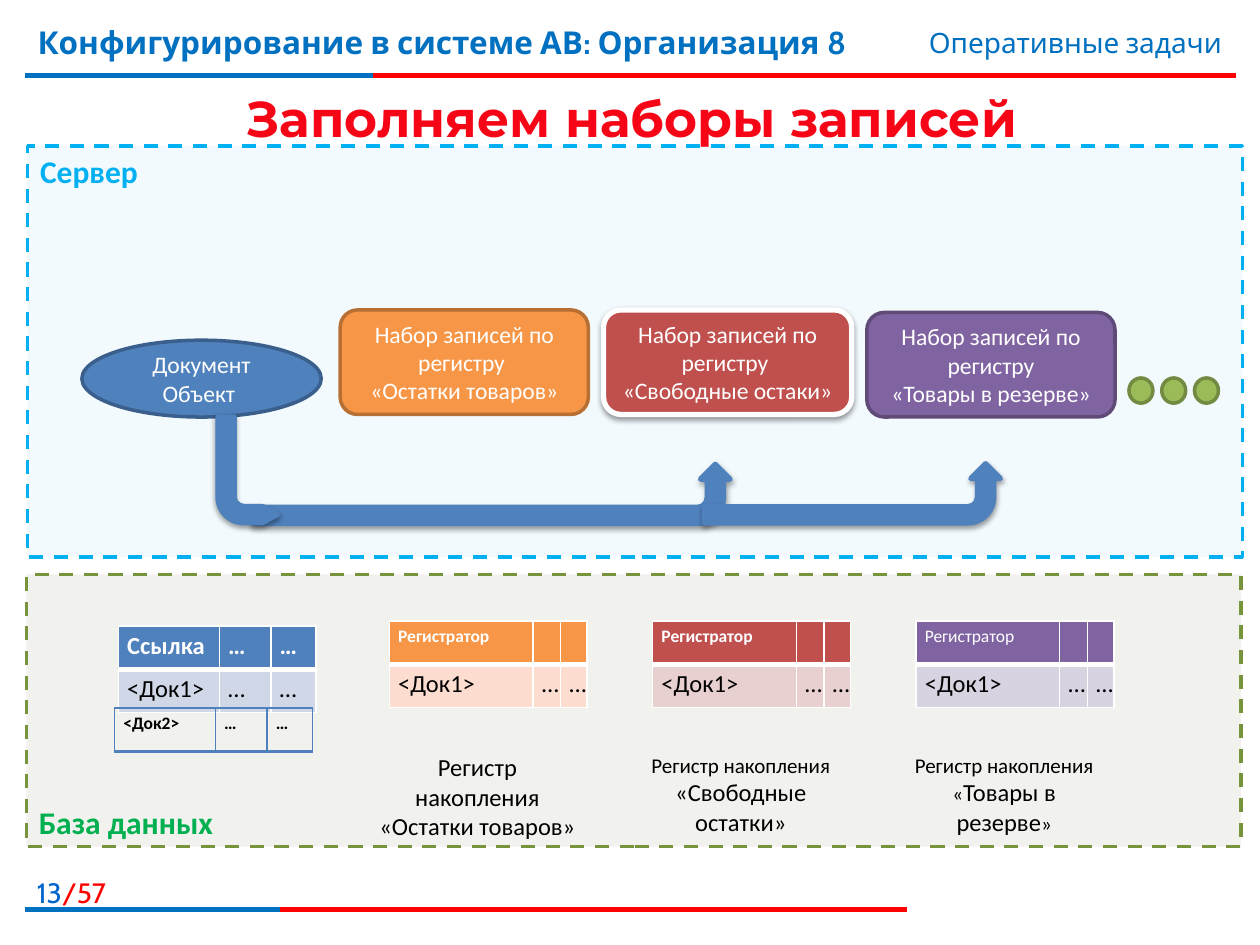
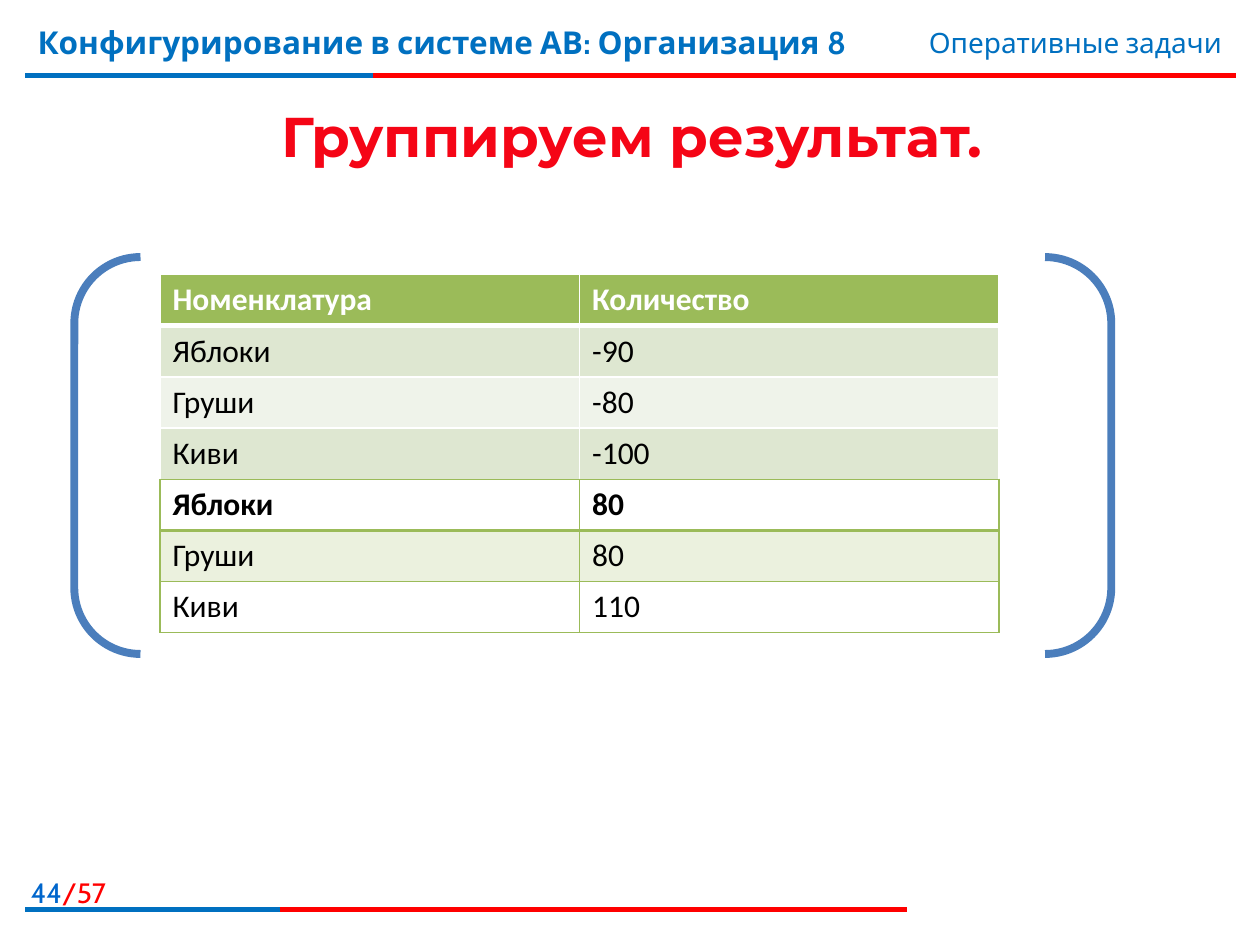
from dataclasses import dataclass

from lxml import etree
from pptx import Presentation
from pptx import util as u
from pptx.dml.color import RGBColor
from pptx.enum import dml, shapes, text
from pptx.oxml.ns import qn

COLUMNS, ROWS = 100, 75
LEFT, CENTER, RIGHT = text.PP_ALIGN.LEFT, text.PP_ALIGN.CENTER, text.PP_ALIGN.RIGHT
TOP, MIDDLE, BOTTOM = (text.MSO_ANCHOR.TOP, text.MSO_ANCHOR.MIDDLE,
                       text.MSO_ANCHOR.BOTTOM)
PRESET = shapes.MSO_SHAPE
PAGE_COUNT = 57


@dataclass(frozen=True)
class Theme:
    body_font: str = "Calibri"
    frame_font: str = "Cabin"
    title_font: str = "Montserrat"
    white: str = "FFFFFF"
    black: str = "000000"
    red: str = "FF0000"
    navy: str = "0070C0"
    page_blue: str = "0066CC"
    title_red: str = "F50516"
    title_dark: str = "C00000"
    server: str = "00B0F0"
    database: str = "00B050"
    database_fill: str = "4F6228"
    database_line: str = "77933C"
    blue: str = "4F81BD"
    blue_line: str = "3A5F8C"
    blue_tint: str = "D0D8E8"
    orange: str = "F79646"
    orange_line: str = "B76F34"
    orange_tint: str = "FCDDCF"
    brick: str = "C0504D"
    brick_tint: str = "E8D0D0"
    purple: str = "8064A2"
    purple_line: str = "5F4A78"
    purple_tint: str = "D8D3E0"
    green: str = "9BBB59"
    green_line: str = "738A42"
    green_tint: str = "DEE7D1"
    green_pale: str = "EFF3EA"
    green_wash: str = "EBF1DE"
    bracket: str = "4B7EBC"
    heading: float = 18
    subheading: float = 16
    label: float = 13.5
    cell: float = 14
    caption: float = 12
    small: float = 10


THEME = Theme()


@dataclass(frozen=True)
class Span:
    text: str
    size: float
    color: str = THEME.black
    bold: bool = False
    font: str = THEME.body_font


@dataclass(frozen=True)
class RowStyle:
    fill: str | None
    size: float
    color: str = THEME.black
    bold: bool = False


@dataclass(frozen=True)
class Register:
    name: str
    top: float
    fill: str
    line: str
    line_width: float
    tint: str
    caption: tuple
    bold: bool = True
    shadow: bool = False


def xml_child(parent, tag, **attributes):
    return etree.SubElement(parent, qn(tag), attributes)


def xml_color(parent, color):
    return xml_child(xml_child(parent, "a:solidFill"), "a:srgbClr", val=color)


class Pages:
    """Draws on the current page; positions are columns and rows of the grid."""

    def __init__(self, theme):
        self.theme = theme
        self.deck = Presentation()
        self.deck.slide_width, self.deck.slide_height = u.Inches(10), u.Inches(7.5)
        self.page = None

    def across(self, columns):
        return round(self.deck.slide_width * columns / COLUMNS)

    def down(self, rows):
        return round(self.deck.slide_height * rows / ROWS)

    def place(self, left, top, width, height):
        return (self.across(left), self.down(top),
                self.across(width), self.down(height))

    def start(self, number):
        theme = self.theme
        self.page = self.deck.slides.add_slide(self.deck.slide_layouts[5])
        for row, end, blue_end in ((6, 98.1, 29.6), (72.2, 72, 22.2)):
            self.rule(2, end, row, theme.red)
            self.rule(2, blue_end, row, theme.navy)
        font = theme.frame_font
        self.text((0, 69, 9.4, 3.2), RIGHT,
                  Span(str(number), theme.subheading, theme.page_blue, font=font),
                  Span(f"/{PAGE_COUNT}", theme.subheading, theme.red, font=font))
        header = self.text((2, 1.3, 74, 6.2), LEFT,
                           Span("Конфигурирование в системе АВ: Организация 8",
                                theme.heading, theme.navy, True, font))
        header.text_frame.paragraphs[0].space_before = u.Pt(3.6)
        self.text((59.4, 1.5, 38.6, 3.7), RIGHT,
                  Span("Оперативные задачи", theme.subheading, theme.navy, font=font))

    def rule(self, start, end, row, color):
        line = self.page.shapes.add_connector(
            shapes.MSO_CONNECTOR.STRAIGHT, self.across(start), self.down(row),
            self.across(end), self.down(row))
        line.line.color.rgb = RGBColor.from_string(color)
        line.line.width = u.Pt(3)
        xml_child(line.element.spPr, "a:effectLst")

    def set_spans(self, frame, align, anchor, spans):
        frame.word_wrap = True
        frame.vertical_anchor = anchor
        paragraph = frame.paragraphs[0]
        paragraph.alignment = align
        for span in spans:
            for index, line in enumerate(span.text.split("\v")):
                if index:
                    paragraph.add_line_break()
                run = paragraph.add_run()
                run.text = line
                run.font.name = span.font
                run.font.size = u.Pt(span.size)
                run.font.bold = span.bold
                run.font.color.rgb = RGBColor.from_string(span.color)

    def text(self, area, align, *spans):
        box = self.page.shapes.add_textbox(*self.place(*area))
        self.set_spans(box.text_frame, align, TOP, spans)
        return box

    def title(self, wording, height, size):
        title = self.page.shapes.title
        title.left, title.top, title.width, title.height = self.place(
            2.1, 6.3, 96.1, height)
        self.set_spans(title.text_frame, CENTER, MIDDLE,
                       [Span(wording, size, bold=True, font=self.theme.title_font)])
        title.text_frame.auto_size = text.MSO_AUTO_SIZE.NONE
        font = title.text_frame.paragraphs[0].runs[0].font
        font.fill.gradient()
        font.fill.gradient_angle = 270
        stops = ((0.55, self.theme.title_red), (0.86, self.theme.title_dark))
        for stop, (position, color) in zip(font.fill.gradient_stops, stops):
            stop.position = position
            stop.color.rgb = RGBColor.from_string(color)
        # Earlier shapes would otherwise cover the title
        self.page.shapes.element.append(title.element)

    def shape(self, preset, area, fill, line, width, *spans, align=CENTER,
              anchor=MIDDLE, opacity=None, dashed=False, shadow=False):
        box = self.page.shapes.add_shape(preset, *self.place(*area))
        box.shadow.inherit = False
        if fill:
            box.fill.solid()
            box.fill.fore_color.rgb = RGBColor.from_string(fill)
        else:
            box.fill.background()
        if opacity:
            color = box.element.spPr.find(f"{qn('a:solidFill')}/{qn('a:srgbClr')}")
            xml_child(color, "a:alpha", val=str(opacity * 1000))
        box.line.color.rgb = RGBColor.from_string(line)
        box.line.width = u.Pt(width)
        if dashed:
            box.line.dash_style = dml.MSO_LINE.DASH
        if shadow:
            self.cast_shadow(box)
        if spans:
            self.set_spans(box.text_frame, align, anchor, spans)
        return box

    def cast_shadow(self, box):
        effects = box.element.spPr.find(qn("a:effectLst"))
        outer = xml_child(effects, "a:outerShdw", blurRad=str(u.Pt(3.1)),
                          dist=str(u.Pt(1.6)), dir="5400000", rotWithShape="0")
        color = xml_child(outer, "a:srgbClr", val=self.theme.black)
        xml_child(color, "a:alpha", val="38000")

    def bent_arrow(self, area, rotation, head=0.25):
        arrow = self.shape(PRESET.BENT_ARROW, area, self.theme.blue,
                           self.theme.blue, 3, shadow=True)
        for index, value in enumerate((0.275, head, 0.25, 0.438)):
            arrow.adjustments[index] = value
        arrow.rotation = rotation
        arrow.element.spPr.xfrm.set("flipH", "1")

    def table(self, left, top, widths, height, rows, styles, border,
              first_rule, margins=(1, 0.5)):
        """first_rule is the width of the line under the first row."""
        area = self.place(left, top, sum(widths), height * len(rows))
        table = self.page.shapes.add_table(len(rows), len(widths), *area).table
        table.first_row = table.horz_banding = False
        for column, width in zip(table.columns, widths):
            column.width = self.across(width)
        for index, (row, words, style) in enumerate(zip(table.rows, rows, styles)):
            row.height = self.down(height)
            for cell, word in zip(row.cells, words):
                cell.margin_left = cell.margin_right = self.across(margins[0])
                cell.margin_top = cell.margin_bottom = self.down(margins[1])
                self.fill_cell(cell, word, style)
                self.edge_cell(cell, border, 1 if index else first_rule)

    def fill_cell(self, cell, word, style):
        if style.fill:
            cell.fill.solid()
            cell.fill.fore_color.rgb = RGBColor.from_string(style.fill)
        else:
            cell.fill.background()
        if word:
            self.set_spans(cell.text_frame, LEFT, TOP,
                           [Span(word, style.size, style.color, style.bold)])
        else:
            xml_child(cell.text_frame.paragraphs[0]._p, "a:endParaRPr",
                      sz=str(style.size * 100))

    def edge_cell(self, cell, color, bottom):
        properties = cell._tc.get_or_add_tcPr()
        for index, (side, width) in enumerate(zip("LRTB", (1, 1, 1, bottom))):
            edge = etree.Element(qn(f"a:ln{side}"), w=str(u.Pt(width)))
            xml_color(edge, color)
            properties.insert(index, edge)


REGISTERS = (
    Register("Набор записей по регистру \v«Остатки товаров»", 24.6, THEME.orange,
             THEME.orange_line, 2, THEME.orange_tint,
             (Span("Регистр накопления «Остатки товаров»", THEME.cell),)),
    Register("Набор записей по регистру \v«Свободные остаки»", 24.6, THEME.brick,
             THEME.white, 3, THEME.brick_tint,
             (Span("Регистр накопления ", THEME.caption),
              Span("«Свободные остатки»", THEME.cell)), shadow=True),
    Register("Набор записей по регистру\v«Товары в резерве»", 24.8, THEME.purple,
             THEME.purple_line, 2, THEME.purple_tint,
             (Span("Регистр накопления «", THEME.caption),
              Span("Товары в резерве", THEME.cell),
              Span("»", THEME.caption)), bold=False),
)


def record_sets(pages):
    theme = pages.theme
    margins = (0.7, 0.4)
    pages.start(13)
    pages.shape(PRESET.RECTANGLE, (2.2, 11.6, 96.4, 32.6), theme.server,
                theme.server, 2, Span("Сервер", theme.heading, theme.server, True),
                align=LEFT, anchor=TOP, opacity=5, dashed=True)
    pages.shape(PRESET.RECTANGLE, (2.1, 45.6, 96.4, 21.6), theme.database_fill,
                theme.database_line, 2,
                Span("База данных", theme.heading, theme.database, True),
                align=LEFT, anchor=BOTTOM, opacity=8, dashed=True)
    pages.shape(PRESET.OVAL, (6.5, 27, 19, 6.1), theme.blue, theme.blue_line, 2,
                Span("Документ\vОбъект ", theme.label, theme.white))

    document_widths = (8, 4.1, 3.6)
    pages.table(9.4, 49.7, document_widths, 3.43,
                [("Ссылка", "…", "…"), ("<Док1>", "…", "…")],
                [RowStyle(theme.blue, theme.cell, theme.white, True),
                 RowStyle(theme.blue_tint, theme.cell)], theme.white, 3, margins)
    for index, register in enumerate(REGISTERS):
        shift = 20.9 * index
        pages.shape(PRESET.ROUNDED_RECTANGLE, (27 + shift, register.top, 19.7, 8.3),
                    register.fill, register.line, register.line_width,
                    Span(register.name, theme.label, theme.white),
                    shadow=register.shadow)
        pages.shape(PRESET.FLOWCHART_CONNECTOR, (89.6 + 2.6 * index, 30, 1.9, 2),
                    theme.green, theme.green_line, 2)
        pages.table(30.9 + shift, 49.3, (11.4, 2.2, 2.1), 3.43,
                    [("Регистратор", "", ""), ("<Док1>", "…", "…")],
                    [RowStyle(register.fill, theme.small, theme.white, register.bold),
                     RowStyle(register.tint, theme.cell)], theme.white, 3, margins)
        pages.text((29.1 + shift, 59.2, 17.6, 7.7), CENTER, *register.caption)

    pages.bent_arrow((36.7, 20.3, 4.7, 37.8), 90)
    pages.table(9.1, 56.2, document_widths, 3.43, [("<Док2>", "…", "…")],
                [RowStyle(None, theme.small, bold=True)], theme.blue, 2, margins)
    pages.bent_arrow((17.3, 33.1, 4.7, 8.4), 180, head=0.14)
    pages.bent_arrow((65.3, 27.4, 4.7, 23.5), 90)
    pages.title("Заполняем наборы записей", 6, 28.8)


def grouped_result(pages):
    theme = pages.theme
    size = theme.heading
    widths, height = (33.3, 33.3), 4.06
    expense = [("Номенклатура", "Количество"), ("Яблоки", "-90"),
               ("Груши", "-80"), ("Киви", "-100")]
    income = [("Яблоки", "80"), ("Груши", "80"), ("Киви", "110")]
    dark, pale = RowStyle(theme.green_tint, size), RowStyle(theme.green_pale, size)
    pages.start(44)
    pages.title("Группируем результат.", 8.9, 32)
    pages.table(12.7, 21.8, widths, height, expense,
                [RowStyle(theme.green, size, theme.white, True), dark, pale, dark],
                theme.white, 3)
    pages.table(12.7, 21.8 + height * len(expense), widths, height, income,
                [RowStyle(None, size, bold=True), RowStyle(theme.green_wash, size),
                 RowStyle(None, size)], theme.green, 2)
    pages.shape(PRESET.DOUBLE_BRACKET, (5.9, 20.4, 82.3, 31.5), None,
                theme.bracket, 4.5)


def main():
    pages = Pages(THEME)
    record_sets(pages)
    grouped_result(pages)
    pages.deck.save("out.pptx")


if __name__ == "__main__":
    main()
